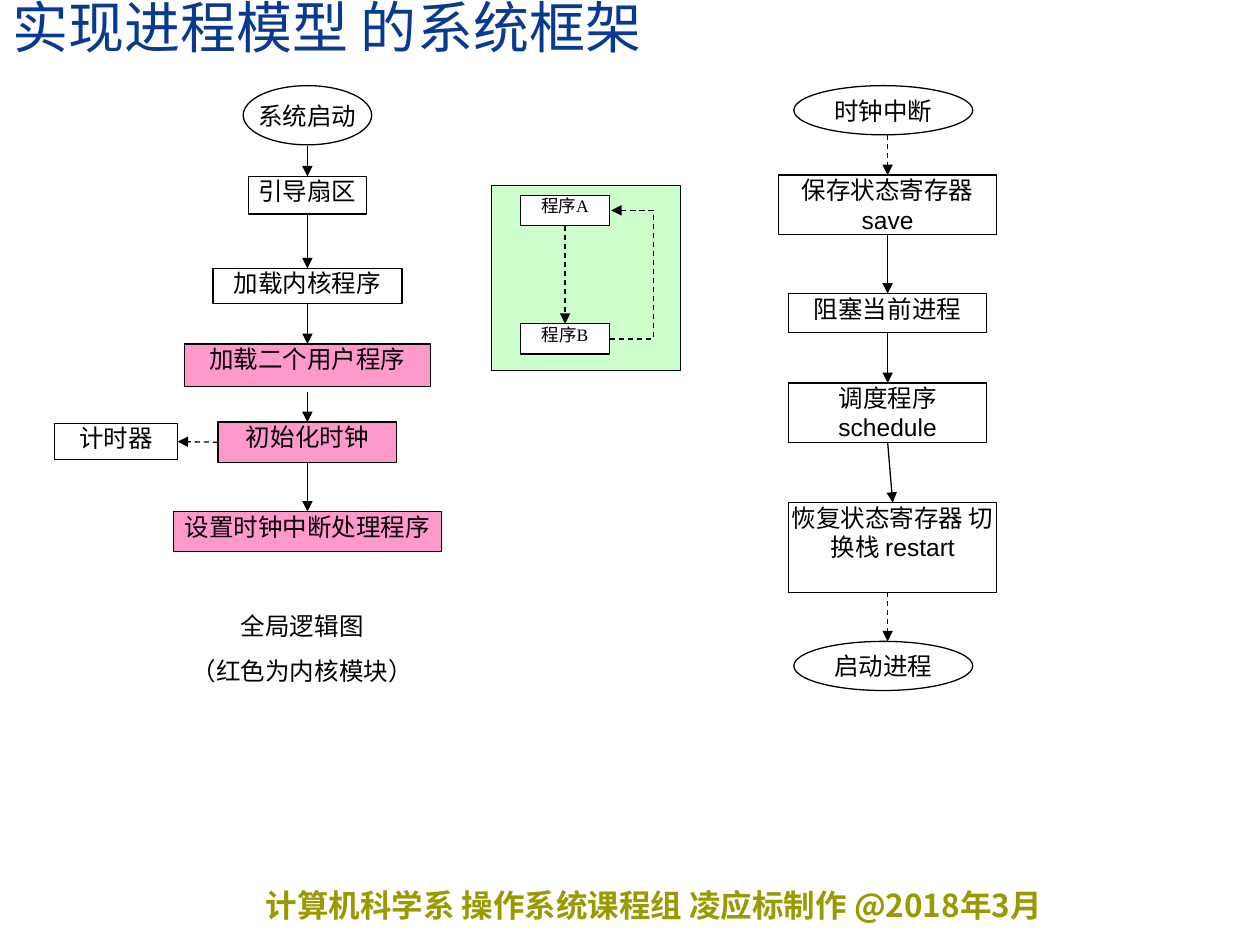
from lxml import etree
from pptx import Presentation
from pptx.dml.color import RGBColor
from pptx.enum.dml import MSO_LINE
from pptx.enum.shapes import MSO_CONNECTOR, MSO_SHAPE
from pptx.enum.text import MSO_ANCHOR, PP_ALIGN
from pptx.oxml.ns import qn
from pptx.util import Inches, Pt

RECT, OVAL = MSO_SHAPE.RECTANGLE, MSO_SHAPE.OVAL
STRAIGHT, ELBOW = MSO_CONNECTOR.STRAIGHT, MSO_CONNECTOR.ELBOW
TOP, MIDDLE, BOTTOM = MSO_ANCHOR.TOP, MSO_ANCHOR.MIDDLE, MSO_ANCHOR.BOTTOM
LEFT, CENTER = PP_ALIGN.LEFT, PP_ALIGN.CENTER
DASH = MSO_LINE.DASH
N, W, S, E = range(4)
COLS, ROWS = 100, 75
WIDTH, HEIGHT = Inches(10), Inches(7.5)
BLACK, WHITE, PINK, GREEN = "000000", "FFFFFF", "FF99CC", "CCFFCC"
SERIF, SANS, CJK = "Times New Roman", "Arial", "Noto Sans CJK SC"


def col(n):
    return round(WIDTH * n / COLS)


def row(n):
    return round(HEIGHT * n / ROWS)


def grid(x, y, w, h):
    return col(x), row(y), col(w), row(h)


def rgb(value):
    return RGBColor.from_string(value)


def write(shape, text, size=14, font=SERIF, color=BLACK, bold=False,
          align=CENTER, anchor=TOP, before=8.8, spacing=None):
    tf = shape.text_frame
    tf.text = text
    tf.word_wrap = True
    tf.vertical_anchor = anchor
    for p in tf.paragraphs:
        p.alignment = align
        p.space_before = Pt(before)
        p.line_spacing = spacing
        for r in p.runs:
            r.font.size = Pt(size)
            r.font.name = font
            r.font.bold = bold
            r.font.color.rgb = rgb(color)
            etree.SubElement(r.font._element, qn("a:ea"), typeface=CJK)


def add_text(s, at, text, **style):
    write(s.shapes.add_textbox(*grid(*at)), text, **style)


def add_node(s, kind, at, fill=WHITE, line=BLACK):
    sp = s.shapes.add_shape(kind, *grid(*at))
    sp.shadow.inherit = False
    if fill:
        sp.fill.solid()
        sp.fill.fore_color.rgb = rgb(fill)
    else:
        sp.fill.background()
    if line:
        sp.line.color.rgb = rgb(line)
        sp.line.width = Pt(0.75)
    else:
        sp.line.fill.background()
    return sp


def add_box(s, at, text, fill=WHITE, line=BLACK, **style):
    sp = add_node(s, RECT, at, fill, line)
    tf = sp.text_frame
    tf.margin_left = tf.margin_right = tf.margin_top = tf.margin_bottom = 0
    write(sp, text, **style)
    return sp


def add_oval(s, at, text):
    sp = add_node(s, OVAL, at, None)
    write(sp, text, font=SANS, anchor=MIDDLE)
    sp.text_frame.word_wrap = False


def style_arrow(c, dashed):
    c.line.color.rgb = rgb(BLACK)
    c.line.width = Pt(0.75)
    if dashed:
        c.line.dash_style = DASH
    etree.SubElement(c.line._get_or_add_ln(), qn("a:tailEnd"), type="triangle")
    etree.SubElement(c._element.spPr, qn("a:effectLst"))


def add_arrow(s, start, end, dashed=False):
    c = s.shapes.add_connector(STRAIGHT, 0, 0, 0, 0)
    if isinstance(start[1], int):
        c.begin_connect(*start)
    else:
        c.begin_x, c.begin_y = col(start[0]), row(start[1])
    if isinstance(end[1], int):
        c.end_connect(*end)
    else:
        c.end_x, c.end_y = col(end[0]), row(end[1])
    style_arrow(c, dashed)


def add_loop(s, x, y1, y2, bend):
    step = 0.1
    c = s.shapes.add_connector(ELBOW, col(x), row(y1), col(x + step), row(y2))
    av = c._element.spPr.find(qn("a:prstGeom")).get_or_add_avLst()
    share = round((bend - x) / step * 100000)
    etree.SubElement(av, qn("a:gd"), name="adj1", fmla=f"val {share}")
    style_arrow(c, True)


def add_startup(s):
    x = 24.4
    add_oval(s, (19.3, 6.8, 10.2, 4.7), "系统启动")
    boot, kernel, users, clock, handler = [
        add_box(s, (x - w / 2, y, w, h), text, fill)
        for y, w, h, text, fill in (
            (14, 9.4, 3, "引导扇区", WHITE),
            (21.3, 15, 2.8, "加载内核程序", WHITE),
            (27.3, 19.5, 3.4, "加载二个用户程序", PINK),
            (33.5, 14.2, 3.2, "初始化时钟", PINK),
            (40.6, 21.3, 3.2, "设置时钟中断处理程序", PINK))]
    timer = add_box(s, (4.3, 33.6, 9.8, 2.9), "计时器")
    add_arrow(s, (x, 11.6), (boot, N))
    add_arrow(s, (boot, S), (kernel, N))
    add_arrow(s, (kernel, S), (users, N))
    add_arrow(s, (x, 31.1), (clock, N))
    add_arrow(s, (clock, S), (handler, N))
    add_arrow(s, (clock, W), (timer, E), True)
    add_box(s, (9, 48.5, 30, 6.3), "全局逻辑图\n（红色为内核模块）", line=None)


def add_programs(s):
    add_node(s, RECT, (39, 14.7, 15, 14.7), GREEN)
    a, b = [add_box(s, (41.3, y, 7.1, 2.4), text, size=10, before=6.2)
            for y, text in ((15.5, "程序A"), (25.7, "程序B"))]
    add_arrow(s, (a, S), (b, N), True)
    add_loop(s, 48.4, 26.9, 16.7, 51.9)


def add_interrupt(s):
    x = 70.45
    for y, text in ((6.8, "时钟中断"), (50.9, "启动进程")):
        add_oval(s, (63, y, 14.2, 3.9), text)
    save, block, schedule, restart = [
        add_box(s, (left, y, w, h), text, font=SANS, before=before)
        for left, y, w, h, text, before in (
            (61.8, 13.9, 17.3, 4.7, "保存状态寄存器save", 8.8),
            (62.6, 23.3, 15.7, 3.1, "阻塞当前进程", 8.8),
            (62.6, 30.4, 15.7, 4.7, "调度程序 schedule", 17.5),
            (62.6, 39.9, 16.5, 7.1, "恢复状态寄存器 切换栈 restart", 1.8))]
    add_arrow(s, (x, 10.7), (save, N), True)
    add_arrow(s, (save, S), (block, N))
    add_arrow(s, (block, S), (schedule, N))
    add_arrow(s, (schedule, S), (restart, N))
    add_arrow(s, (x, 47.0), (x, 50.9), True)


def main():
    prs = Presentation()
    prs.slide_width, prs.slide_height = WIDTH, HEIGHT
    s = prs.slides.add_slide(prs.slide_layouts[6])
    add_text(s, (20.1, 69.8, 74.8, 4), "计算机科学系 操作系统课程组 凌应标制作 @2018年3月",
             size=18, font=CJK, color="999900", bold=True, align=LEFT, before=11.2)
    add_text(s, (0, 0, 100, 5.2), "实现进程模型 的系统框架", size=32, color="0A3A90",
             align=LEFT, anchor=BOTTOM, before=0, spacing=0.8)
    add_startup(s)
    add_programs(s)
    add_interrupt(s)
    prs.save("out.pptx")


if __name__ == "__main__":
    main()
